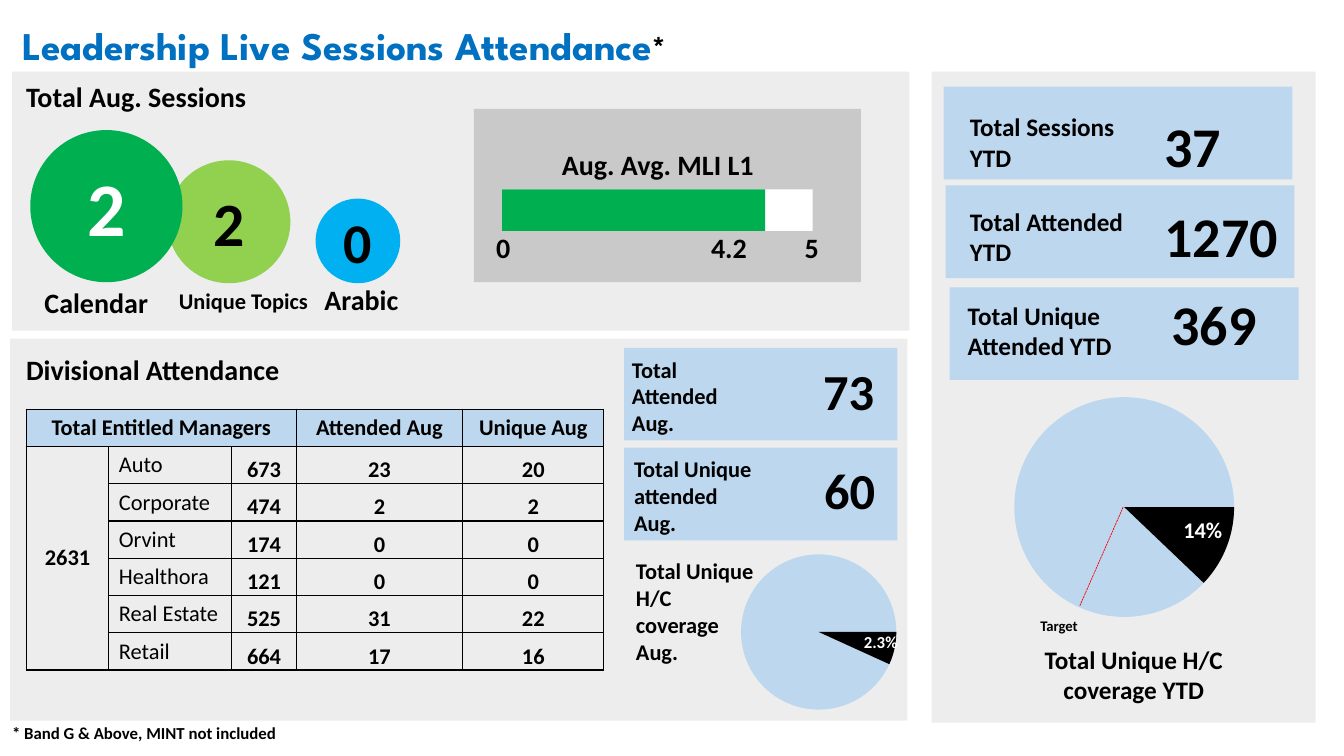
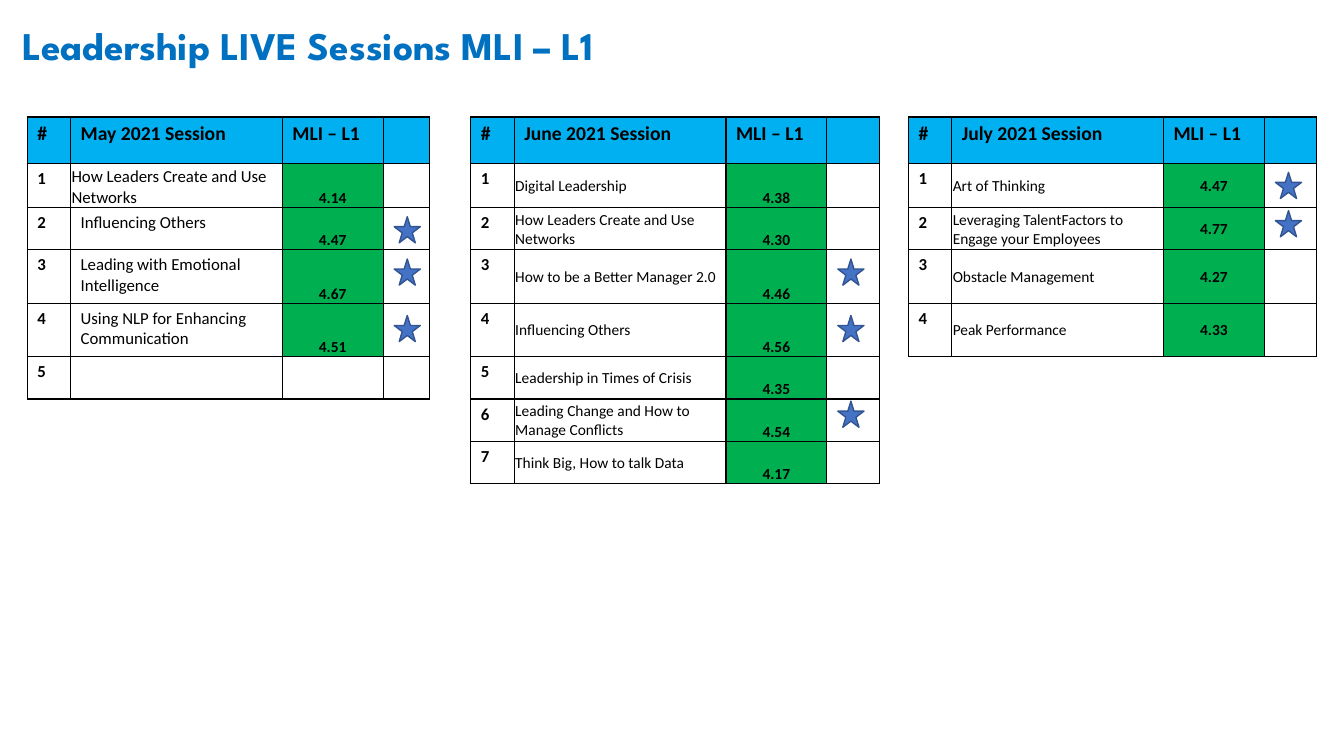
from pptx import Presentation
from pptx.dml.color import RGBColor
from pptx.enum.dml import MSO_LINE
from pptx.enum.shapes import MSO_CONNECTOR, MSO_SHAPE as SHAPE
from pptx.enum.text import MSO_ANCHOR as ANCHOR, MSO_AUTO_SIZE, PP_ALIGN as ALIGN
from pptx.oxml.ns import qn
from pptx.util import Emu, Pt
from lxml import etree

PX = 9144  # one px is a hundredth of an inch
COLORS = {
    "title": "0070C0", "text": "000000", "white": "FFFFFF", "panel": "EDEDED",
    "gauge": "C9C9C9", "card": "BDD7EE", "green": "00B050", "lime": "92D050",
    "sky": "00B0F0", "star": "4472C4", "star_edge": "325491", "target": "FF0000",
}
BODY_FONT, TITLE_FONT = "Calibri", "League Spartan"
TIGHT = (1, 1, 1, 0)
ROOMY = (10, 10, 5, 5)


def px(length):
    return Emu(round(length * PX))


def rgb(name):
    return RGBColor.from_string(COLORS[name])


def style_font(font, size, color="text", bold=True, name=BODY_FONT):
    font.name, font.size, font.bold = name, Pt(size), bold
    font.color.rgb = rgb(color)


def write(frame, text, size, color="text", bold=True, align=ALIGN.LEFT):
    """Fill a text frame, one paragraph per line of text."""
    frame.text = text
    for paragraph in frame.paragraphs:
        paragraph.alignment = align
        style_font(paragraph.font, size, color, bold)


def set_insets(target, insets):
    (target.margin_left, target.margin_right,
     target.margin_top, target.margin_bottom) = map(px, insets)


def add_label(slide, left, top, width, height, text, size,
              color="text", align=ALIGN.LEFT, insets=ROOMY):
    frame = slide.shapes.add_textbox(*map(px, (left, top, width, height))).text_frame
    frame.word_wrap = True
    set_insets(frame, insets)
    write(frame, text, size, color, align=align)


def add_figure(slide, kind, left, top, width, height, fill, edge=None):
    figure = slide.shapes.add_shape(kind, *map(px, (left, top, width, height)))
    figure.shadow.inherit = False
    figure.fill.solid()
    figure.fill.fore_color.rgb = rgb(fill)
    if edge:
        figure.line.color.rgb = rgb(edge)
        figure.line.width = Pt(1)
    else:
        figure.line.fill.background()
    return figure


def add_titled_slide(prs, title, mark=""):
    slide = prs.slides.add_slide(prs.slide_layouts[5])
    heading = slide.shapes.title
    heading.left, heading.top, heading.width, heading.height = map(px, (12, 16, 900, 57))
    frame = heading.text_frame
    frame.auto_size = MSO_AUTO_SIZE.NONE
    frame.vertical_anchor = ANCHOR.TOP
    set_insets(frame, ROOMY)
    paragraph = frame.paragraphs[0]
    paragraph.alignment = ALIGN.LEFT
    for text, size, color in ((title, 28, "title"), (mark, 24, "text")):
        if text:
            run = paragraph.add_run()
            run.text = text
            style_font(run.font, size, color, name=TITLE_FONT)
    return slide


# Tables
def add_grid(slide, left, top, widths, heights):
    """Add a table with thin black borders and no fill."""
    table = slide.shapes.add_table(
        len(heights), len(widths),
        *map(px, (left, top, sum(widths), sum(heights)))).table
    for column, width in zip(table.columns, widths):
        column.width = px(width)
    for row, height in zip(table.rows, heights):
        row.height = px(height)
    for cell in table.iter_cells():
        properties = cell._tc.get_or_add_tcPr()
        for side in ("a:lnL", "a:lnR", "a:lnT", "a:lnB"):
            border = etree.SubElement(properties, qn(side), w=str(Pt(1)))
            fill = etree.SubElement(border, qn("a:solidFill"))
            etree.SubElement(fill, qn("a:srgbClr"), val=COLORS["text"])
        cell.fill.background()
    return table


def fill_cell(cell, text, size, fill=None, bold=True, align=ALIGN.LEFT,
              anchor=ANCHOR.TOP, insets=ROOMY):
    write(cell.text_frame, text, size, bold=bold, align=align)
    cell.vertical_anchor = anchor
    set_insets(cell, insets)
    if fill:
        cell.fill.solid()
        cell.fill.fore_color.rgb = rgb(fill)


def add_division_table(slide, left, top):
    divisions = [
        ("Auto", 673, 23, 20), ("Corporate", 474, 2, 2), ("Orvint", 174, 0, 0),
        ("Healthora", 121, 0, 0), ("Real Estate", 525, 31, 22), ("Retail", 664, 17, 16),
    ]
    table = add_grid(slide, left, top, (82, 122, 64, 165, 140),
                     [37] * (len(divisions) + 1))
    table.cell(0, 0).merge(table.cell(0, 2))
    table.cell(1, 0).merge(table.cell(len(divisions), 0))
    headings = {0: "Total Entitled Managers", 3: "Attended Aug", 4: "Unique Aug"}
    for column, heading in headings.items():
        fill_cell(table.cell(0, column), heading, 16, "card", align=ALIGN.CENTER)
    fill_cell(table.cell(1, 0), "2631", 16, align=ALIGN.CENTER, anchor=ANCHOR.MIDDLE)
    for row, (division, *counts) in enumerate(divisions, 1):
        fill_cell(table.cell(row, 1), division, 16, bold=False)
        for column, count in enumerate(counts, 2):
            fill_cell(table.cell(row, column), str(count), 16, align=ALIGN.CENTER,
                      anchor=ANCHOR.BOTTOM, insets=TIGHT)


# Attendance regions
def add_session_circles(slide, left, top):
    circles = [  # left, top, diameter, fill, count, size, colour, caption
        (301, 126, 84, "sky", "0", 40, "text", ("Arabic", 295, 204, 103, 20)),
        (154, 88, 122, "lime", "2", 44, "text", ("Unique Topics", 144, 209, 171, 16)),
        (18, 58, 151, "green", "2", 54, "white", ("Calendar", 14, 207, 139, 20)),
    ]
    for x, y, diameter, fill, count, size, color, caption in circles:
        circle = add_figure(slide, SHAPE.OVAL, left + x, top + y, diameter, diameter, fill)
        set_insets(circle.text_frame, (0, 0, 0, 0))
        circle.text_frame.vertical_anchor = ANCHOR.MIDDLE
        write(circle.text_frame, count, size, color, align=ALIGN.CENTER)
        name, x, y, width, size = caption
        add_label(slide, left + x, top + y, width, 44, name, size, align=ALIGN.CENTER)


def add_score_gauge(slide, left, top):
    add_figure(slide, SHAPE.RECTANGLE, left, top, 384, 172, "gauge")
    add_label(slide, left + 44, top + 33, 277, 44, "Aug. Avg. MLI L1", 20,
              align=ALIGN.CENTER)
    for width, fill in ((308, "white"), (261, "green")):
        add_figure(slide, SHAPE.RECTANGLE, left + 28, top + 80, width, 41, fill)
    for mark, center in (("0", 29), ("4.2", 253), ("5", 335)):
        add_label(slide, left + center - 36, top + 116, 72, 44, mark, 20,
                  align=ALIGN.CENTER)


def add_stat_card(slide, left, top, width, label, label_box, label_size,
                  value, value_box, value_size, value_align):
    """Label and value boxes are left, top and width within the card."""
    add_figure(slide, SHAPE.RECTANGLE, left, top, width, 92, "card")
    for text, (x, y, box_width), size, align in (
            (label, label_box, label_size, ALIGN.LEFT),
            (value, value_box, value_size, value_align)):
        add_label(slide, left + x, top + y, box_width, 77, text, size, align=align)


def add_coverage_pie(slide, left, top, diameter, degrees):
    add_figure(slide, SHAPE.OVAL, left, top, diameter, diameter, "card")
    wedge = add_figure(slide, SHAPE.PIE, left, top, diameter, diameter, "text")
    wedge.adjustments[0] = 0
    wedge.adjustments[1] = degrees * 0.6  # 60000 units a degree, scaled by 100000


def add_sessions_panel(slide, left, top):
    add_figure(slide, SHAPE.RECTANGLE, left, top, 890, 257, "panel")
    add_label(slide, left + 4, top + 3, 365, 44, "Total Aug. Sessions", 20)
    add_session_circles(slide, left, top)
    add_score_gauge(slide, left + 458, top + 37)


def add_division_panel(slide, left, top):
    add_figure(slide, SHAPE.RECTANGLE, left, top, 890, 379, "panel")
    add_label(slide, left + 6, top + 9, 365, 44, "Divisional Attendance", 20)
    add_division_table(slide, left + 16, top + 70)
    cards = [("Total Attended Aug.", -2, 134, "73", 168),
             ("Total Unique attended\nAug.", 0, 140, "60", 169)]
    for index, (label, x, width, value, value_x) in enumerate(cards):
        add_stat_card(slide, left + 609, top + 9 + 99 * index, 271,
                      label, (x, 3, width), 16, value, (value_x, 7, 90), 36, ALIGN.RIGHT)
    add_coverage_pie(slide, left + 725, top + 214, 154, 24.48)
    add_label(slide, left + 809, top + 286, 81, 30, "2.3%", 12, "white", ALIGN.RIGHT)
    add_label(slide, left + 611, top + 212, 140, 118,
              "Total Unique H/C coverage\nAug.", 16)


def add_year_panel(slide, left, top):
    add_figure(slide, SHAPE.RECTANGLE, left, top, 381, 646, "panel")
    cards = [  # left, top, label, its box, value, its box
        (12, 15, "Total Sessions YTD", (16, 20, 193), "37", (209, 20, 150)),
        (14, 113, "Total Attended YTD", (14, 16, 187), "1270", (207, 11, 150)),
        (18, 214, "Total Unique Attended YTD", (8, 8, 187), "369", (210, -3, 150)),
    ]
    for x, y, label, label_box, value, value_box in cards:
        add_stat_card(slide, left + x, top + y, 346, label, label_box, 18,
                      value, value_box, 40, ALIGN.LEFT)
    add_coverage_pie(slide, left + 82, top + 323, 218, 43.66)
    add_label(slide, left + 183, top + 436, 115, 37, "14%", 16, "white", ALIGN.RIGHT)
    # Target line
    ends = (left + 190, top + 432, left + 147, top + 530)
    target = slide.shapes.add_connector(MSO_CONNECTOR.STRAIGHT, *map(px, ends))
    target.line.color.rgb = rgb("target")
    target.line.width = Pt(0.5)
    target.line.dash_style = MSO_LINE.SQUARE_DOT
    etree.SubElement(target._element.spPr, qn("a:effectLst"))
    add_label(slide, left + 98, top + 536, 98, 39, "Target", 10.5)
    add_label(slide, left + 82, top + 563, 237, 71, "Total Unique H/C coverage YTD", 18,
              align=ALIGN.CENTER)


def build_attendance_slide(prs):
    slide = add_titled_slide(prs, "Leadership Live Sessions Attendance", "*")
    add_sessions_panel(slide, 12, 71)
    add_division_panel(slide, 10, 336)
    add_year_panel(slide, 924, 71)
    add_label(slide, 12, 717, 316, 33, "* Band G & Above, MINT not included", 12,
              insets=(0, 0, 0, 0))


# Session scores
ROW_HEIGHTS = (46, 44, 42, 53, 53, 42, 42, 42)
NAME_TIGHT = dict(size=11, anchor=ANCHOR.MIDDLE, insets=TIGHT)
NAME_ROOMY = dict(size=12)
NAME_LOW = dict(size=12, anchor=ANCHOR.BOTTOM, insets=TIGHT)


def add_month_table(slide, left, top, month, star_width, score_anchor, name_styles, sessions):
    """Each session is its name, its score and the star's drop in the row, if any."""
    heights = ROW_HEIGHTS[:len(sessions) + 1]
    table = add_grid(slide, left, top, (43, 210, 100, star_width), heights)
    for column, heading in enumerate(("#", f"{month} 2021 Session", "MLI – L1", "")):
        fill_cell(table.cell(0, column), heading, 14, "sky")
    for row, (name, score, star_drop) in enumerate(sessions, 1):
        fill_cell(table.cell(row, 0), str(row), 12)
        if name:
            style = name_styles[min(row, len(name_styles)) - 1]
            fill_cell(table.cell(row, 1), name, bold=False, **style)
            fill_cell(table.cell(row, 2), score, 11, "green", align=ALIGN.CENTER,
                      anchor=score_anchor, insets=TIGHT)
        if star_drop is not None:
            add_figure(slide, SHAPE.STAR_5_POINT, left + 364,
                       top + sum(heights[:row]) + star_drop, 26, 26, "star", "star_edge")


def build_scores_slide(prs):
    slide = add_titled_slide(prs, "Leadership LIVE Sessions MLI – L1")
    add_month_table(slide, 27, 116, "May", 46, ANCHOR.BOTTOM, [NAME_LOW, NAME_ROOMY], [
        ("How Leaders Create and Use Networks", "4.14", None),
        ("Influencing Others", "4.47", 9),
        ("Leading with Emotional Intelligence", "4.67", 9),
        ("Using NLP for Enhancing Communication", "4.51", 12),
        ("", "", None),
    ])
    add_month_table(slide, 467, 116, "June", 52, ANCHOR.BOTTOM, [NAME_TIGHT], [
        ("Digital Leadership", "4.38", None),
        ("How Leaders Create and Use Networks", "4.30", None),
        ("How to be a Better Manager 2.0", "4.46", 9),
        ("Influencing Others", "4.56", 12),
        ("Leadership in Times of Crisis", "4.35", None),
        ("Leading Change and How to Manage Conflicts", "4.54", 2),
        ("Think Big, How to talk Data", "4.17", None),
    ])
    add_month_table(slide, 901, 116, "July", 52, ANCHOR.MIDDLE, [NAME_TIGHT], [
        ("Art of Thinking", "4.47", 9),
        ("Leveraging TalentFactors to Engage your Employees", "4.77", 3),
        ("Obstacle Management", "4.27", None),
        ("Peak Performance", "4.33", None),
    ])


def main():
    prs = Presentation()
    prs.slide_width, prs.slide_height = px(1333), px(750)
    build_attendance_slide(prs)
    build_scores_slide(prs)
    prs.save("out.pptx")


if __name__ == "__main__":
    main()
